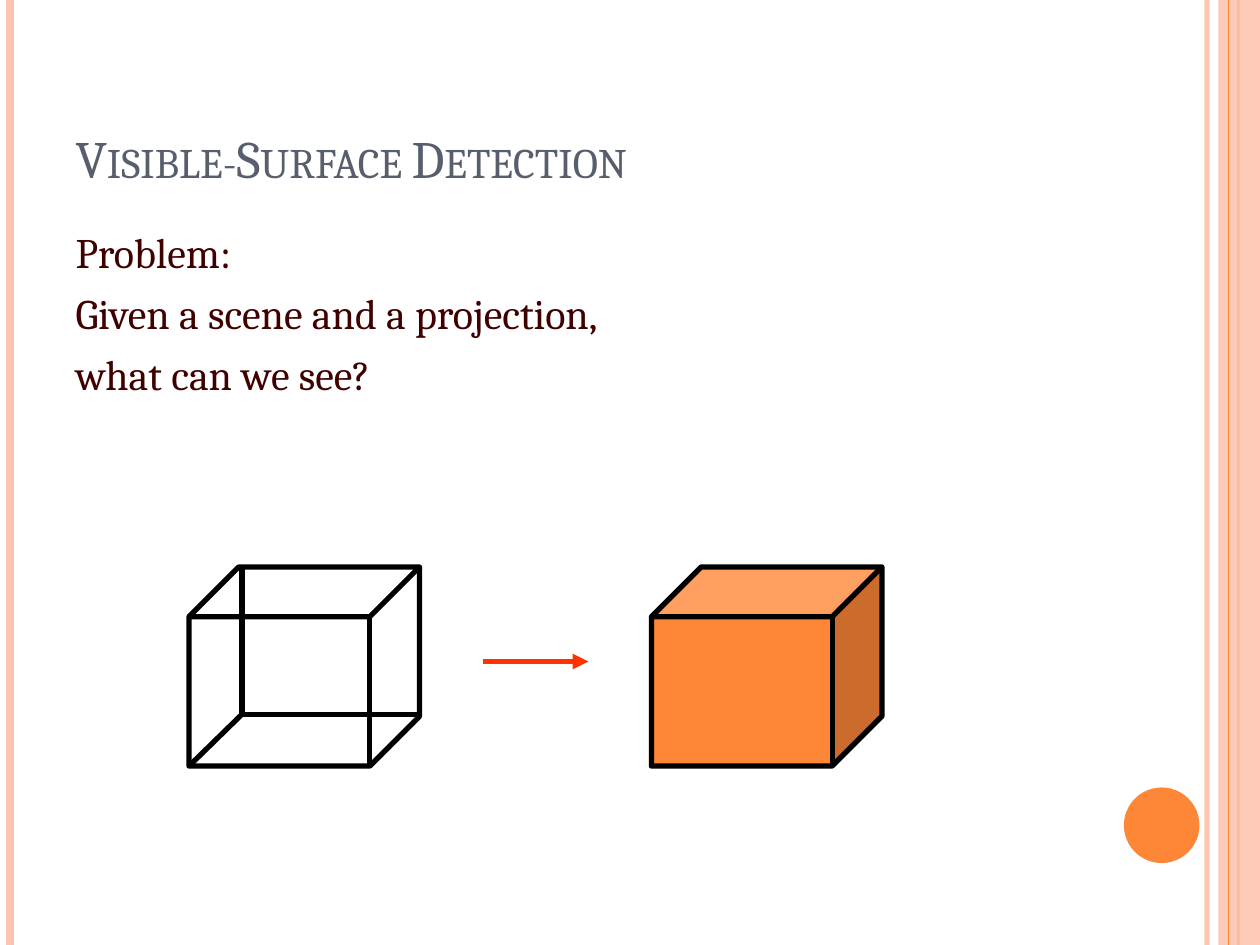
from lxml import etree
from pptx import Presentation
from pptx.dml.color import RGBColor
from pptx.enum.shapes import MSO_CONNECTOR, MSO_SHAPE
from pptx.enum.text import MSO_ANCHOR, MSO_AUTO_SIZE, PP_ALIGN
from pptx.oxml.ns import qn
from pptx.util import Inches, Pt

STRAIGHT = MSO_CONNECTOR.STRAIGHT
RECT, OVAL, CUBE = MSO_SHAPE.RECTANGLE, MSO_SHAPE.OVAL, MSO_SHAPE.CUBE
TOP, BOTTOM = MSO_ANCHOR.TOP, MSO_ANCHOR.BOTTOM
LEFT = PP_ALIGN.LEFT
NO_FIT = MSO_AUTO_SIZE.NONE
FONT = "Cambria"
ORANGE, PEACH, BLACK, RED = "FE8637", "FEC3AE", "000000", "FF3300"


def color(code):
    return RGBColor.from_string(code)


def fade(item, percent):
    """Set the opacity of every colour in a shape's own format."""
    for node in item._element.spPr.iter(qn("a:srgbClr")):
        etree.SubElement(node, qn("a:alpha"), val=str(percent * 1000))


def add_line(slide, start, end, hue=BLACK, width=3, arrow=False):
    line = slide.shapes.add_connector(STRAIGHT, *map(Inches, start + end))
    line.line.color.rgb = color(hue)
    line.line.width = Pt(width)
    if arrow:
        etree.SubElement(line.line._get_or_add_ln(), qn("a:tailEnd"), type="triangle")
    etree.SubElement(line._element.spPr, qn("a:effectLst"))
    return line


def add_shape(slide, kind, box, fill=None, line=None):
    shape = slide.shapes.add_shape(kind, *map(Inches, box))
    shape.shadow.inherit = False
    if fill:
        shape.fill.solid()
        shape.fill.fore_color.rgb = color(fill)
    else:
        shape.fill.background()
    if line:
        shape.line.color.rgb = color(line)
        shape.line.width = Pt(3)
    else:
        shape.line.fill.background()
    return shape


def put_text(holder, box, lines, size, hue, anchor=TOP, caps=False, hang=0, gap=0):
    holder.left, holder.top, holder.width, holder.height = map(Inches, box)
    frame = holder.text_frame
    frame.word_wrap = True
    frame.auto_size = NO_FIT
    frame.vertical_anchor = anchor
    frame.text = "\n".join(lines)
    for row, para in enumerate(frame.paragraphs):
        props = para._p.get_or_add_pPr()
        props.set("marL", str(Inches(hang)))
        props.set("indent", str(-Inches(hang)))
        etree.SubElement(props, qn("a:buNone"))
        para.alignment = LEFT
        para.space_before = Pt(gap if row else 0)
        run = para.runs[0]
        run.font.name = FONT
        run.font.size = Pt(size)
        run.font.color.rgb = color(hue)
        if caps:
            run.font._element.set("cap", "small")


def add_frame(slide):
    """Draw the side stripes and the page disc."""
    def stripe(x, hue, width):
        return add_line(slide, (x, 0), (x, 7.5), hue, width)

    fade(stripe(9.58, PEACH, 3), 93)
    stripe(0.08, PEACH, 4.5)
    stripe(9.83, ORANGE, 1.5)
    fade(add_shape(slide, RECT, (9.67, 0, 0.33, 7.5), PEACH), 87)
    stripe(9.75, ORANGE, 0.75)
    add_shape(slide, OVAL, (8.92, 6.25, 0.6, 0.6), ORANGE)


def add_cubes(slide):
    """Draw a wire cube with its hidden edges, an arrow and a solid cube."""
    top, wide, high = 4.5, 1.83, 1.58
    left = 1.5
    for x, fill in ((left, None), (5.17, ORANGE)):
        cube = add_shape(slide, CUBE, (x, top, wide, high), fill, BLACK)
        cube.adjustments[0] = 0.25
    back = (1.92, 5.67)
    for end in ((back[0], top), (left + wide, back[1]), (left, top + high)):
        add_line(slide, end, back)
    add_line(slide, (3.83, 5.25), (4.67, 5.25), RED, arrow=True)


def main():
    deck = Presentation()
    deck.slide_width, deck.slide_height = Inches(10), Inches(7.5)
    slide = deck.slides.add_slide(deck.slide_layouts[1])
    title, body = slide.placeholders
    add_frame(slide)
    put_text(title, (0.5, 0.3, 8.17, 1.25), ["Visible-Surface Detection"],
             30, "575F6D", anchor=BOTTOM, caps=True)
    put_text(body, (0.5, 1.75, 8.17, 5.33),
             ["Problem:", "Given a scene and a projection,", "what can we see?"],
             24, "400000", hang=0.3, gap=6)
    add_cubes(slide)
    deck.save("out.pptx")


if __name__ == "__main__":
    main()
